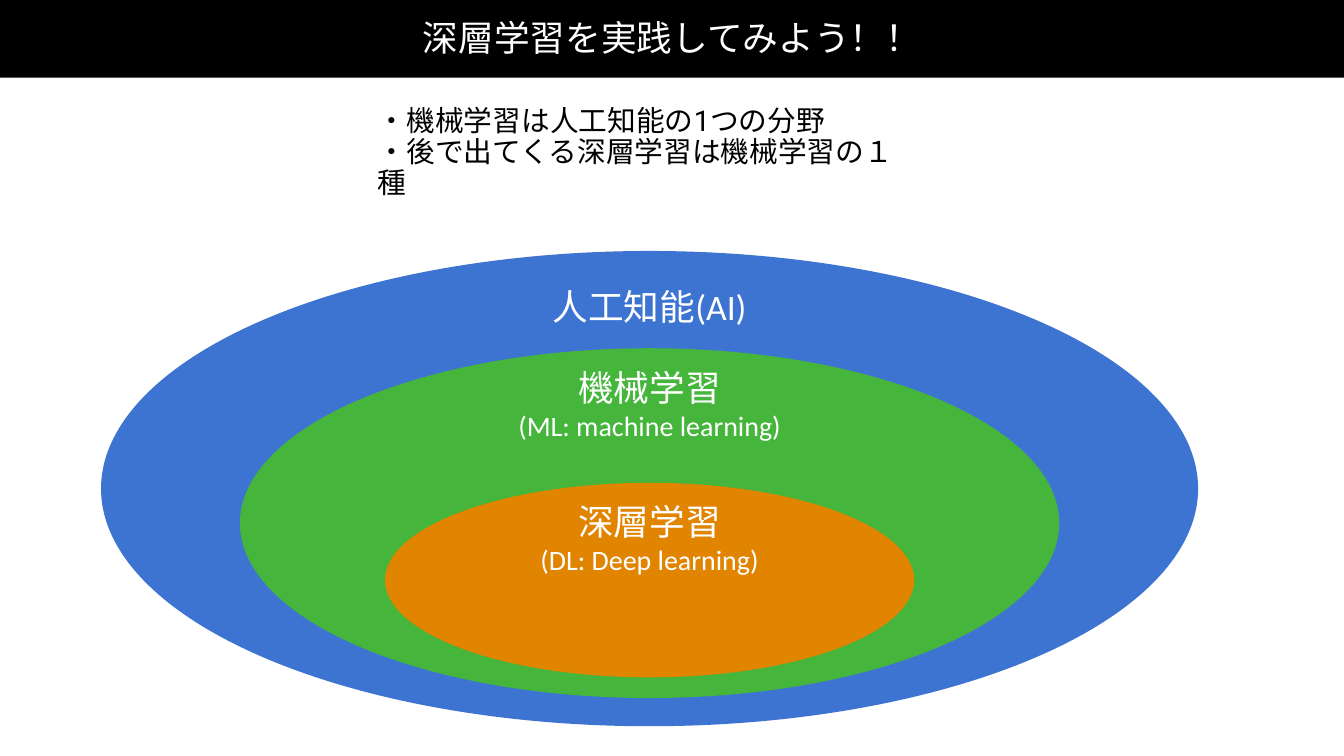
"""Build a slide that nests deep learning in machine learning in AI."""
from pptx import Presentation
from pptx.dml.color import RGBColor
from pptx.enum.shapes import MSO_SHAPE
from pptx.enum.text import MSO_ANCHOR, PP_ALIGN
from pptx.util import Inches, Pt

RECT, OVAL = MSO_SHAPE.RECTANGLE, MSO_SHAPE.OVAL
LEFT, CENTER = PP_ALIGN.LEFT, PP_ALIGN.CENTER
MIDDLE = MSO_ANCHOR.MIDDLE

THEME = {
    "black": "000000", "white": "FFFFFF",
    "blue": "3E74D1", "green": "45B53C", "orange": "E18400",
    "head": 51, "body": 41, "sub": 40,
    "font": "Calibri", "list": "Roboto",
}
WIDE, HIGH = 26.67, 15
MID = 12.89
PAD = Inches(0.06)

deck = Presentation()
deck.slide_width, deck.slide_height = Inches(WIDE), Inches(HIGH)
slide = deck.slides.add_slide(deck.slide_layouts[6])


def add_form(kind, mid, top, width, height, color):
    box = [Inches(n) for n in (mid - width / 2, top, width, height)]
    form = slide.shapes.add_shape(kind, *box)
    form.shadow.inherit = False
    form.fill.solid()
    form.fill.fore_color.rgb = RGBColor.from_string(THEME[color])
    form.line.fill.background()


def add_text(lines, mid, top, width, height, size="head", color="white",
             font="font", align=CENTER):
    box = [Inches(n) for n in (mid - width / 2, top, width, height)]
    frame = slide.shapes.add_textbox(*box).text_frame
    frame.word_wrap = True
    frame.vertical_anchor = MIDDLE
    frame.margin_left = frame.margin_right = PAD
    frame.margin_top = frame.margin_bottom = PAD
    frame.text = lines
    for para in frame.paragraphs:
        para.alignment = align
        para.line_spacing = 0.9
        para.font.size = Pt(THEME[size])
        para.font.name = THEME[font]
        para.font.color.rgb = RGBColor.from_string(THEME[color])


add_form(RECT, WIDE / 2, 0, WIDE, 1.54, "black")
add_text("深層学習を実践してみよう！！", WIDE / 2, 0.36, 10.4, 0.88)
add_text("・機械学習は人工知能の1つの分野\n・後で出てくる深層学習は機械学習の１種",
         MID, 2.27, 10.9, 1.55, size="body", color="black", font="list", align=LEFT)

rings = [
    (4.98, 21.77, 9.43, "blue", 5.71, "人工知能(AI)", ""),
    (6.91, 16.26, 6.94, "green", 7.32, "機械学習", "(ML: machine learning)"),
    (9.58, 10.5, 3.86, "orange", 9.99, "深層学習", "(DL: Deep learning)"),
]
for top, width, height, color, row, name, note in rings:
    add_form(OVAL, MID, top, width, height, color)
    add_text(name, MID, row, 6.48, 0.83)
    if note:
        add_text(note, MID, row + 0.82, 7.86, 0.67, size="sub")

deck.save("out.pptx")
